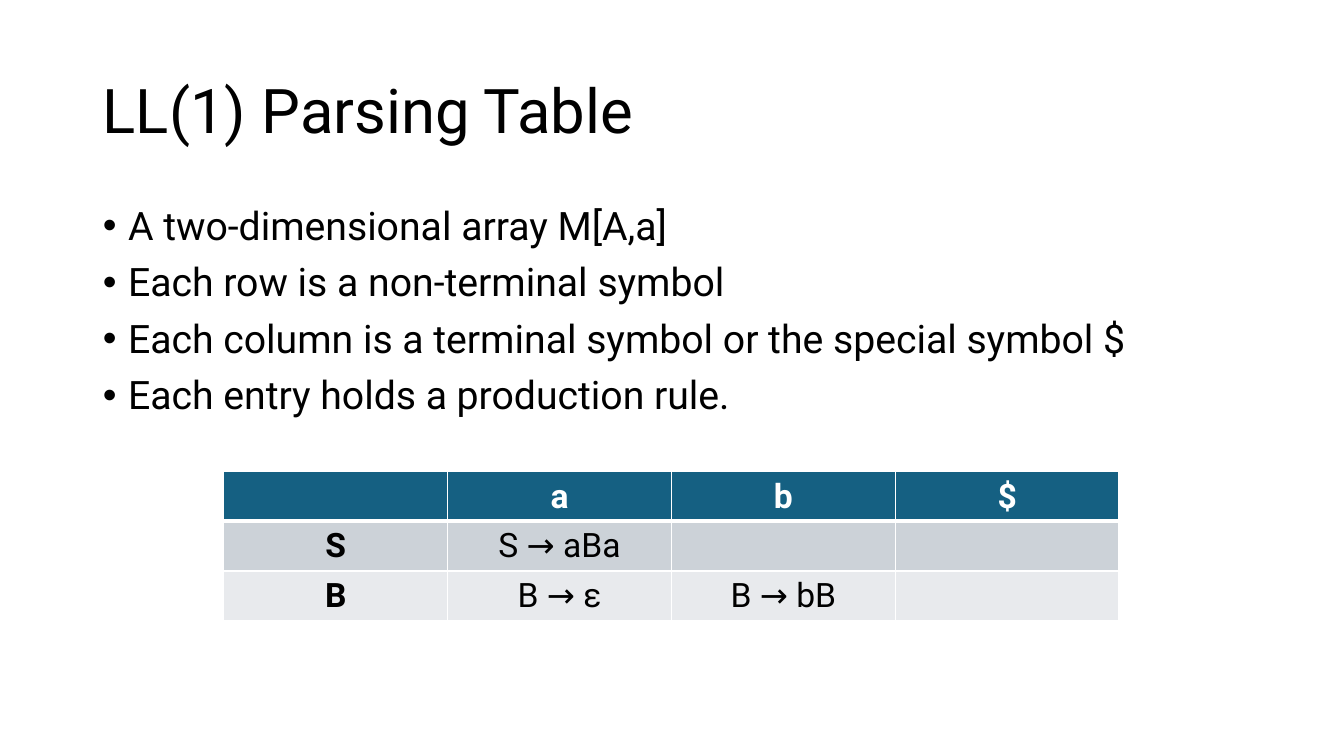
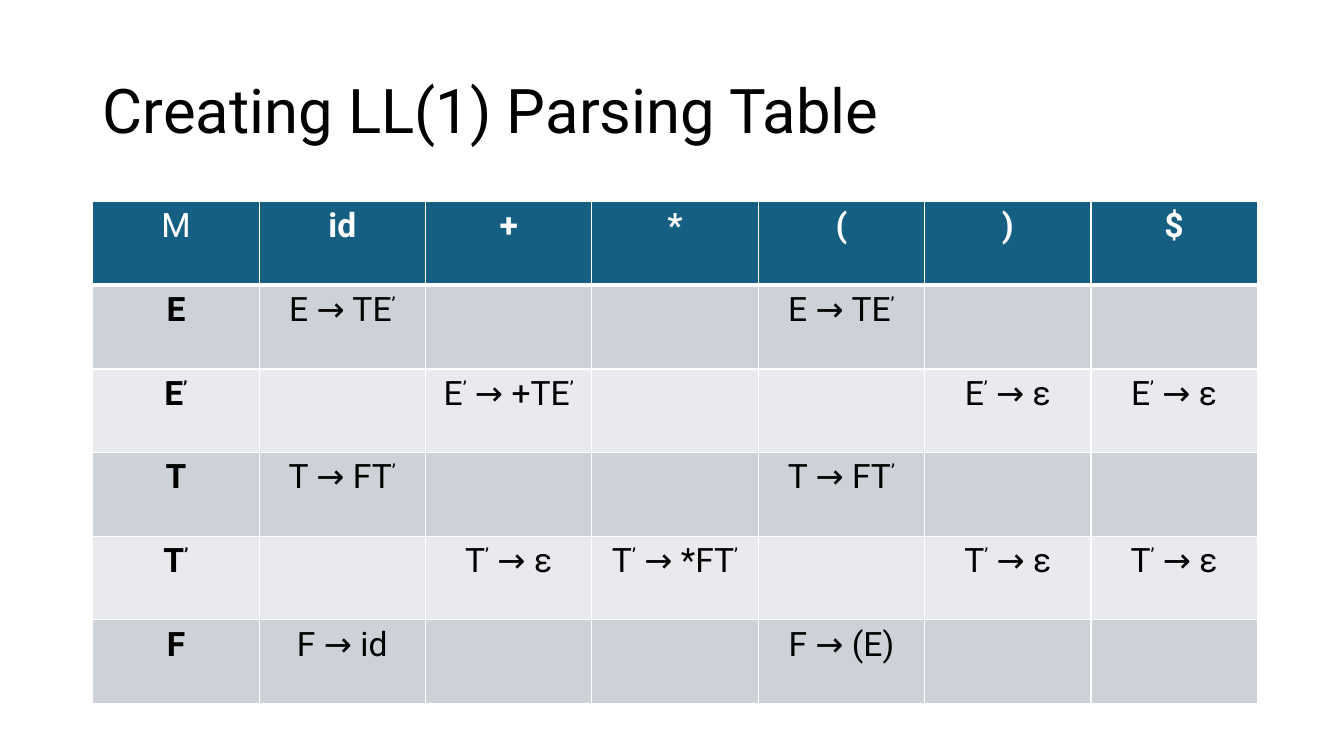
"""Build two slides that explain LL(1) parsing tables."""
from dataclasses import dataclass
from itertools import groupby

from lxml import etree
from pptx import Presentation
from pptx.dml.color import RGBColor
from pptx.enum.text import MSO_ANCHOR, MSO_AUTO_SIZE, PP_ALIGN
from pptx.oxml.ns import qn
from pptx.util import Inches, Pt

LEFT, CENTER = PP_ALIGN.LEFT, PP_ALIGN.CENTER
TOP, MIDDLE = MSO_ANCHOR.TOP, MSO_ANCHOR.MIDDLE
NO_AUTOFIT = MSO_AUTO_SIZE.NONE

BLACK = RGBColor(0x00, 0x00, 0x00)
WHITE = RGBColor(0xFF, 0xFF, 0xFF)
HEADER_FILL = RGBColor(0x15, 0x60, 0x82)
BAND_FILLS = (RGBColor(0xCC, 0xD2, 0xD8), RGBColor(0xE8, 0xEA, 0xED))

FONT = "Roboto"
PRIME = "’"
TITLE_SIZE, BULLET_SIZE, CELL_SIZE = 44, 28, 24
TITLE_LAYOUT_WITH_BODY, TITLE_LAYOUT_ONLY = 1, 5
MARGIN, CONTENT_WIDTH, CONTENT_TOP = 0.92, 11.5, 2.0
THIN_RULE, HEADER_RULE = 1, 3


@dataclass(frozen=True)
class ParsingTable:
    left: float
    top: float
    column_width: float
    row_height: float
    rows: tuple[tuple[str, ...], ...]


@dataclass(frozen=True)
class Lesson:
    title: str
    bullets: tuple[str, ...]
    table: ParsingTable


LESSONS = (
    Lesson(
        "LL(1) Parsing Table",
        (
            "A two-dimensional array M[A,a]",
            "Each row is a non-terminal symbol",
            "Each column is a terminal symbol or the special symbol $",
            "Each entry holds a production rule.",
        ),
        ParsingTable(2.22, 4.68, 2.22, 0.49, (
            ("", "a", "b", "$"),
            ("S", "S → aBa", "", ""),
            ("B", "B → ε", "B → bB", ""),
        )),
    ),
    Lesson(
        "Creating LL(1) Parsing Table",
        (),
        ParsingTable(MARGIN, CONTENT_TOP, 1.65, 0.83, (
            ("M", "id", "+", "*", "(", ")", "$"),
            ("E", "E → TE’", "", "", "E → TE’", "", ""),
            ("E’", "", "E’ → +TE’", "", "", "E’ → ε", "E’ → ε"),
            ("T", "T → FT’", "", "", "T → FT’", "", ""),
            ("T’", "", "T’ → ε", "T’ → *FT’", "", "T’ → ε", "T’ → ε"),
            ("F", "F → id", "", "", "F → (E)", "", ""),
        )),
    ),
)


def style_font(font, size: int, color: RGBColor, bold: bool = False) -> None:
    font.name = FONT
    font.size = Pt(size)
    font.color.rgb = color
    font.bold = bold


def fill_placeholder(placeholder, lines: tuple[str, ...], top: float,
                     height: float, size: int, anchor, bulleted: bool) -> None:
    placeholder.left, placeholder.top = Inches(MARGIN), Inches(top)
    placeholder.width, placeholder.height = Inches(CONTENT_WIDTH), Inches(height)
    frame = placeholder.text_frame
    frame.text = "\n".join(lines)
    frame.auto_size = NO_AUTOFIT
    frame.word_wrap = True
    frame.vertical_anchor = anchor
    for index, paragraph in enumerate(frame.paragraphs):
        paragraph.alignment = LEFT
        paragraph.line_spacing = 0.9
        paragraph.space_before = Pt(10 if index else 0)
        if bulleted:
            properties = paragraph._p.get_or_add_pPr()
            properties.set("marL", str(Inches(0.25)))
            properties.set("indent", str(Inches(-0.25)))
            etree.SubElement(properties, qn("a:buFont"), typeface="Arial")
            etree.SubElement(properties, qn("a:buChar"), char="•")
        for run in paragraph.runs:
            style_font(run.font, size, BLACK)


def add_borders(cell, row: int) -> None:
    widths = {
        "L": THIN_RULE,
        "R": THIN_RULE,
        "T": HEADER_RULE if row == 1 else THIN_RULE,
        "B": HEADER_RULE if row == 0 else THIN_RULE,
    }
    properties = cell._tc.get_or_add_tcPr()
    for side, width in widths.items():
        border = etree.SubElement(properties, qn(f"a:ln{side}"), w=str(Pt(width)))
        solid = etree.SubElement(border, qn("a:solidFill"))
        etree.SubElement(solid, qn("a:srgbClr"), val=str(WHITE))


def write_symbols(cell, symbols: str, color: RGBColor, bold: bool) -> None:
    paragraph = cell.text_frame.paragraphs[0]
    paragraph.alignment = CENTER
    for is_prime, characters in groupby(symbols, lambda symbol: symbol == PRIME):
        run = paragraph.add_run()
        run.text = "".join(characters)
        style_font(run.font, CELL_SIZE, color, bold)
        if is_prime:
            run._r.get_or_add_rPr().set("baseline", "30000")


def add_parsing_table(slide, parsing: ParsingTable) -> None:
    row_count, column_count = len(parsing.rows), len(parsing.rows[0])
    table = slide.shapes.add_table(
        row_count, column_count, Inches(parsing.left), Inches(parsing.top),
        Inches(parsing.column_width * column_count),
        Inches(parsing.row_height * row_count),
    ).table
    for column in table.columns:
        column.width = Inches(parsing.column_width)
    for row, entries in enumerate(parsing.rows):
        table.rows[row].height = Inches(parsing.row_height)
        is_header = row == 0
        for column, symbols in enumerate(entries):
            cell = table.cell(row, column)
            add_borders(cell, row)
            cell.fill.solid()
            cell.fill.fore_color.rgb = (
                HEADER_FILL if is_header else BAND_FILLS[(row - 1) % 2])
            write_symbols(cell, symbols, WHITE if is_header else BLACK,
                          bold=is_header != (column == 0))


def add_lesson(presentation, lesson: Lesson) -> None:
    layout = TITLE_LAYOUT_WITH_BODY if lesson.bullets else TITLE_LAYOUT_ONLY
    slide = presentation.slides.add_slide(presentation.slide_layouts[layout])
    fill_placeholder(slide.shapes.title, (lesson.title,), 0.4, 1.45,
                     TITLE_SIZE, MIDDLE, bulleted=False)
    if lesson.bullets:
        fill_placeholder(slide.placeholders[1], lesson.bullets, CONTENT_TOP, 4.76,
                         BULLET_SIZE, TOP, bulleted=True)
    add_parsing_table(slide, lesson.table)


def main() -> None:
    presentation = Presentation()
    presentation.slide_width = Inches(13.33)
    presentation.slide_height = Inches(7.5)
    for lesson in LESSONS:
        add_lesson(presentation, lesson)
    presentation.save("out.pptx")


if __name__ == "__main__":
    main()
